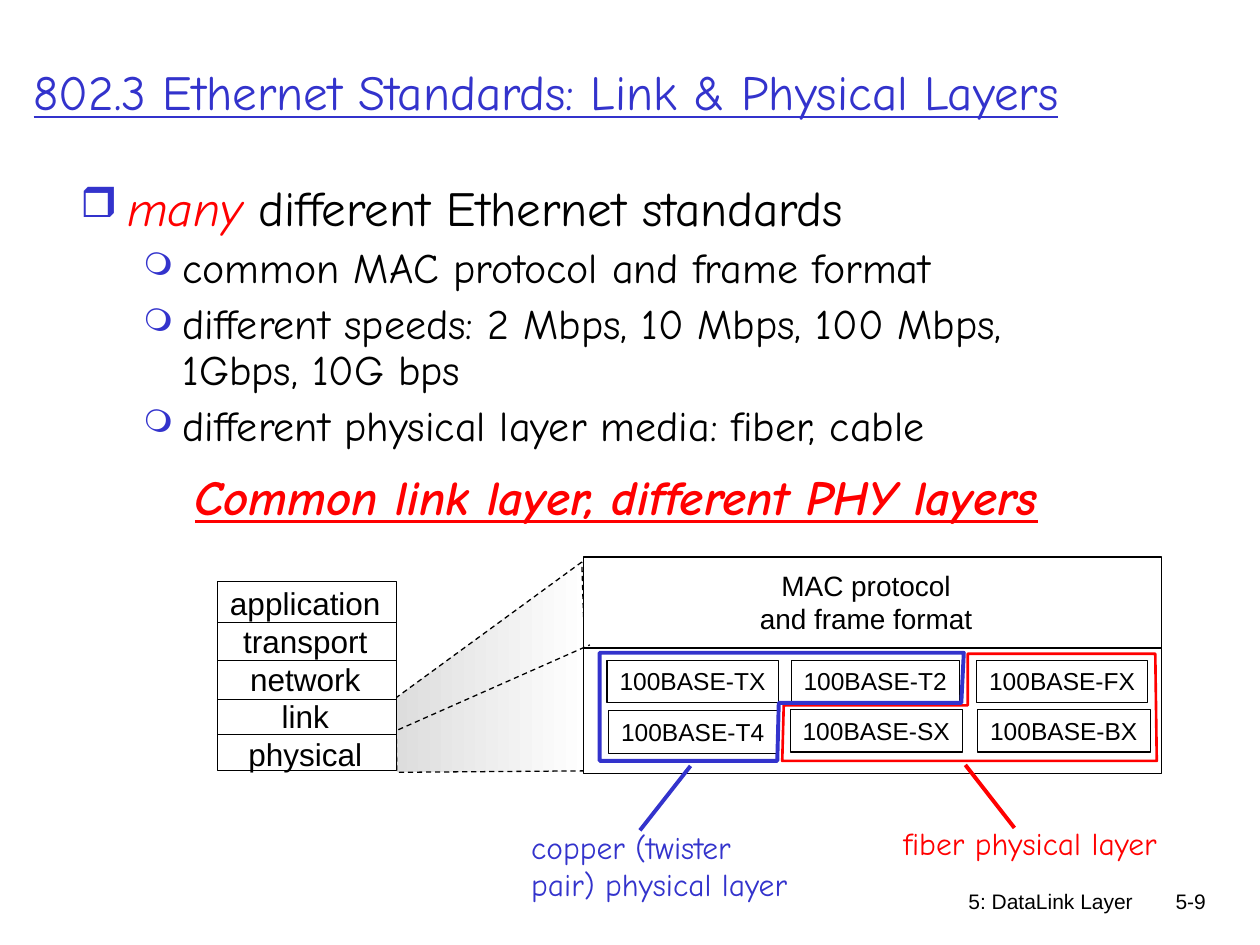
from typing import NamedTuple, Optional

import pptx
import pptx.dml.color
import pptx.enum.dml
import pptx.enum.shapes
import pptx.enum.text
import pptx.oxml.ns
import pptx.util
from lxml import etree

Cm, Pt = pptx.util.Cm, pptx.util.Pt
ALIGN = pptx.enum.text.PP_ALIGN
ANCHOR = pptx.enum.text.MSO_ANCHOR
DASH = pptx.enum.dml.MSO_LINE.DASH
COLORS = {"black": "000000", "white": "FFFFFF", "blue": "3333CC", "red": "FF0000", "shade": "DDDDDD"}


class Box(NamedTuple):
    left: float
    top: float
    width: float
    height: float


class Label(NamedTuple):
    lines: list[str]
    box: Box
    size: float
    font: str = "Arial"
    color: str = "black"
    align: ALIGN = ALIGN.LEFT
    bold: bool = False
    italic: bool = False
    underline: bool = False
    wrap: bool = False
    anchor: ANCHOR = ANCHOR.TOP


class Bullet(NamedTuple):
    runs: list[tuple[str, str]]
    level: int = 1


class BulletStyle(NamedTuple):
    symbol: str
    scale: int
    indent: float
    hanging: float
    size: float
    space_before: float


class Line(NamedTuple):
    start: tuple[float, float]
    end: tuple[float, float]
    color: str = "black"
    width: float = 0.75
    dashed: bool = False


LABELS = [
    Label(["5: DataLink Layer"], Box(15.04, 17.78, 8.05, 1.27), 12, align=ALIGN.RIGHT, wrap=True),
    Label(["5-9"], Box(22.68, 17.78, 1.88, 1.27), 12, align=ALIGN.RIGHT, wrap=True),
    Label(["802.3 Ethernet Standards: Link & Physical Layers"], Box(0.43, 0.25, 24.21, 3.18), 28,
          "Comic Neue", "blue", underline=True, wrap=True, anchor=ANCHOR.MIDDLE),
    Label(["Common link layer, different PHY layers"], Box(3.68, 9.27, 17.65, 1.45), 28,
          "Comic Neue", "red", bold=True, italic=True, underline=True),
    Label(["application", "transport", "network", "link", "physical"],
          Box(4.19, 11.65, 3.93, 4.06), 18, align=ALIGN.CENTER),
    Label(["MAC protocol", "and frame format"], Box(15.06, 11.33, 4.8, 1.63), 16, align=ALIGN.CENTER),
    Label(["fiber physical layer"], Box(17.96, 16.48, 5.61, 1.02), 18, "Comic Neue", "red"),
    Label(["copper (twister", "pair) physical layer"], Box(10.46, 16.56, 5.66, 1.78), 18,
          "Comic Neue", "blue"),
]
BULLET_STYLES = [BulletStyle("❒", 85, 0.95, 0.95, 28, 0), BulletStyle("❍", 75, 2.06, 0.79, 24, 6)]
BULLETS = [
    Bullet([("many", "red"), (" different Ethernet standards", "black")], 0),
    Bullet([("common MAC protocol and frame format", "black")]),
    Bullet([("different speeds: 2 Mbps, 10 Mbps, 100 Mbps, 1Gbps, 10G bps", "black")]),
    Bullet([("different physical layer media: fiber, cable", "black")]),
]
BODY = Box(1.37, 3.59, 21.59, 5.84)
STACK = Box(4.39, 11.73, 3.61, 3.81)
STACK_RIGHT = STACK.left + STACK.width
MAC = Box(11.76, 11.23, 11.66, 4.37)
LINES = [
    *[Line((STACK.left, y), (STACK_RIGHT, y)) for y in (12.55, 13.31, 14.1, 14.8)],
    *[Line((x, 15), (x, 15.46), dashed=True) for x in (STACK.left, STACK_RIGHT)],
    Line((MAC.left, 13.06), (MAC.left + MAC.width, 13.06)),
    Line((8.03, 14.71), (11.89, 13), dashed=True),
    Line((19.46, 15.42), (20.45, 16.69), "red", 2.25),
    Line((13.92, 15.44), (12.9, 16.74), "blue", 2.25),
]
STANDARDS = [
    Label([name], Box(left, top, width, 0.86), 14)
    for name, left, top, width in [
        ("100BASE-TX", 12.24, 13.31, 3.45), ("100BASE-T2", 15.95, 13.31, 3.4),
        ("100BASE-FX", 19.69, 13.31, 3.45), ("100BASE-T4", 12.27, 14.33, 3.4),
        ("100BASE-SX", 15.93, 14.3, 3.48), ("100BASE-BX", 19.71, 14.3, 3.48),
    ]
]
WEDGE = [(11.73, 11.33), (7.98, 14.07), (8, 15.57), (11.86, 15.54)]
FIBER_OUTLINE = [(19.51, 13.18), (19.51, 14.22), (15.8, 14.22), (15.77, 15.34), (23.32, 15.34), (23.29, 13.18)]
COPPER_OUTLINE = [(19.43, 13.16), (19.38, 14.17), (15.7, 14.17), (15.67, 15.34), (12.09, 15.34), (12.09, 13.16)]


def rgb(name: str) -> pptx.dml.color.RGBColor:
    return pptx.dml.color.RGBColor.from_string(COLORS[name])


def lengths(box: Box) -> list[pptx.util.Length]:
    return [Cm(value) for value in box]


def style_line(shape, color: str = "black", width: float = 0.75, dashed: bool = False) -> None:
    shape.line.color.rgb = rgb(color)
    shape.line.width = Pt(width)
    if dashed:
        shape.line.dash_style = DASH


def write_label(shape, label: Label) -> None:
    frame = shape.text_frame
    frame.word_wrap = label.wrap
    if not label.wrap:
        frame.auto_size = pptx.enum.text.MSO_AUTO_SIZE.SHAPE_TO_FIT_TEXT
    frame.vertical_anchor = label.anchor
    for index, line in enumerate(label.lines):
        paragraph = frame.add_paragraph() if index else frame.paragraphs[0]
        paragraph.text = line
        paragraph.alignment = label.align
        font = paragraph.font
        font.name, font.size = label.font, Pt(label.size)
        font.bold, font.italic, font.underline = label.bold, label.italic, label.underline
        font.color.rgb = rgb(label.color)


def add_label(slide, label: Label) -> None:
    write_label(slide.shapes.add_textbox(*lengths(label.box)), label)


def add_box(slide, box: Box, fill: Optional[str] = None):
    shape = slide.shapes.add_shape(pptx.enum.shapes.MSO_SHAPE.RECTANGLE, *lengths(box))
    shape.shadow.inherit = False
    if fill:
        shape.fill.solid()
        shape.fill.fore_color.rgb = rgb(fill)
    else:
        shape.fill.background()
    style_line(shape)
    return shape


def add_line(slide, line: Line) -> None:
    ends = [Cm(value) for value in (*line.start, *line.end)]
    connector = slide.shapes.add_connector(pptx.enum.shapes.MSO_CONNECTOR.STRAIGHT, *ends)
    style_line(connector, line.color, line.width, line.dashed)
    etree.SubElement(connector._element.spPr, pptx.oxml.ns.qn("a:effectLst"))


def add_outline(slide, points: list[tuple[float, float]], color: str, width: float, dashed: bool = False):
    corners = [(Cm(x), Cm(y)) for x, y in points]
    builder = slide.shapes.build_freeform(*corners[0])
    builder.add_line_segments(corners[1:], close=True)
    shape = builder.convert_to_shape()
    shape.shadow.inherit = False
    shape.fill.background()
    style_line(shape, color, width, dashed)
    return shape


def add_wedge(slide) -> None:
    """Draw the shaded area that spreads from the stack to the MAC box."""
    fill = add_outline(slide, WEDGE, "black", 0.75, dashed=True).fill
    fill.gradient()
    fill.gradient_angle = 0
    for stop, position, color in zip(fill.gradient_stops, (0, 1), ("shade", "white")):
        stop.position = position
        stop.color.rgb = rgb(color)


def add_bullets(slide) -> None:
    frame = slide.shapes.add_textbox(*lengths(BODY)).text_frame
    frame.word_wrap = True
    for index, bullet in enumerate(BULLETS):
        paragraph = frame.add_paragraph() if index else frame.paragraphs[0]
        style = BULLET_STYLES[bullet.level]
        paragraph.level = bullet.level
        paragraph.line_spacing = 0.9
        paragraph.space_before = Pt(style.space_before)
        properties = paragraph._p.get_or_add_pPr()
        properties.set("marL", str(Cm(style.indent)))
        properties.set("indent", str(-Cm(style.hanging)))
        color = etree.SubElement(properties, pptx.oxml.ns.qn("a:buClr"))
        etree.SubElement(color, pptx.oxml.ns.qn("a:srgbClr"), val=COLORS["blue"])
        etree.SubElement(properties, pptx.oxml.ns.qn("a:buSzPct"), val=str(style.scale * 1000))
        etree.SubElement(properties, pptx.oxml.ns.qn("a:buChar"), char=style.symbol)
        paragraph.font.name, paragraph.font.size = "Comic Neue", Pt(style.size)
        for text, run_color in bullet.runs:
            run = paragraph.add_run()
            run.text = text
            run.font.color.rgb = rgb(run_color)
            run.font.italic = run_color == "red"


def main() -> None:
    presentation = pptx.Presentation()
    presentation.slide_width, presentation.slide_height = Cm(25.4), Cm(19.05)
    slide = presentation.slides.add_slide(presentation.slide_layouts[6])
    add_bullets(slide)
    add_wedge(slide)
    for box in (STACK, MAC):
        add_box(slide, box, "white")
    for line in LINES:
        add_line(slide, line)
    for label in LABELS:
        add_label(slide, label)
    for standard in STANDARDS:
        write_label(add_box(slide, standard.box), standard)
    add_outline(slide, FIBER_OUTLINE, "red", 1.5)
    add_outline(slide, COPPER_OUTLINE, "blue", 2.25)
    presentation.save("out.pptx")


if __name__ == "__main__":
    main()
